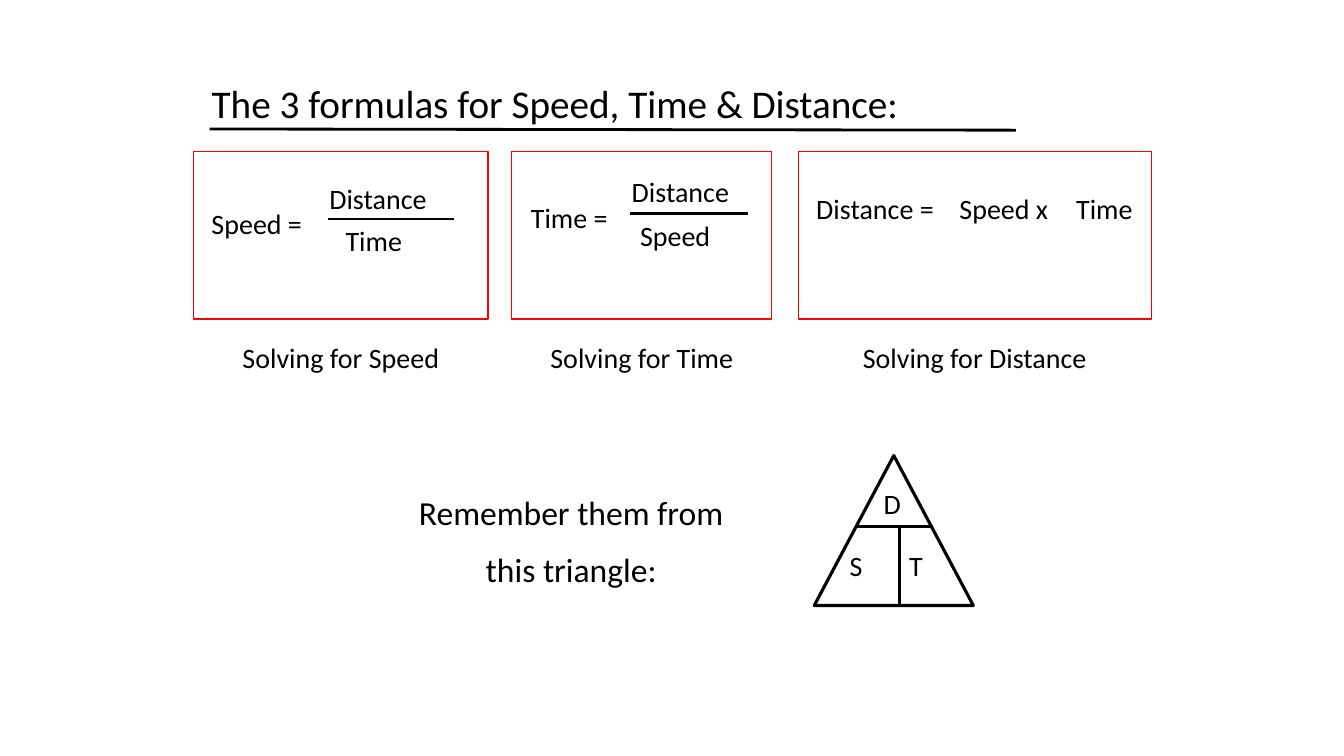
"""Build a slide with the speed, time and distance formulas."""
from lxml import etree
from pptx import Presentation
from pptx.dml.color import RGBColor
from pptx.enum.shapes import MSO_CONNECTOR, MSO_SHAPE
from pptx.enum.text import MSO_ANCHOR, MSO_AUTO_SIZE, PP_ALIGN
from pptx.oxml.ns import qn
from pptx.util import Cm, Pt

LEFT, CENTER = PP_ALIGN.LEFT, PP_ALIGN.CENTER
TOP = MSO_ANCHOR.TOP
NO_FIT = MSO_AUTO_SIZE.NONE
LINE = MSO_CONNECTOR.STRAIGHT
RECT, TRIANGLE = MSO_SHAPE.RECTANGLE, MSO_SHAPE.ISOSCELES_TRIANGLE
BLACK = RGBColor(0, 0, 0)
RED = RGBColor(255, 0, 0)

TITLE = "The 3 formulas for Speed, Time & Distance:"
NOTE = ["Remember them from", "this triangle:"]
FORMULAS = [
    {"caption": "Solving for Speed", "left": 4.88, "width": 7.42,
     "words": [("Speed =", 5.08, 5.08, 3.81), ("Distance", 8.05, 4.45, 3.61),
               ("Time", 8.46, 5.51, 4.01)],
     "bar": (8.26, 5.51, 11.43, 5.51)},
    {"caption": "Solving for Time", "left": 12.9, "width": 6.55,
     "words": [("Time =", 13.13, 4.93, 4.01), ("Distance", 15.67, 4.27, 4.45),
               ("Speed", 15.88, 5.38, 3.18)],
     "bar": (15.88, 5.38, 18.85, 5.38)},
    {"caption": "Solving for Distance", "left": 20.12, "width": 8.89,
     "words": [("Distance =", 20.32, 4.7, 4.45), ("Speed x", 23.93, 4.7, 4.01),
               ("Time", 26.87, 4.7, 2.74)],
     "bar": None},
]
LETTERS = [("D", 22.02, 12.14, 1.91), ("S", 21.16, 13.69, 1.47),
           ("T", 22.66, 13.69, 2.11)]
SPLITS = [(21.59, 13.26, 23.5, 13.26), (22.66, 13.26, 22.66, 15.27)]
BOX_TOP, BOX_HIGH, CAP_TOP, ROW = 3.81, 4.23, 8.46, 1.12


def write(frame, lines, size=20, align=LEFT):
    """Fill a text frame with one paragraph per line."""
    frame.word_wrap = True
    frame.auto_size = NO_FIT
    frame.vertical_anchor = TOP
    for i, line in enumerate(lines):
        para = frame.add_paragraph() if i else frame.paragraphs[0]
        para.text = line
        para.alignment = align
        para.line_spacing = 1.0
        para.space_before = Pt(size / 2 if i else 0)
        para.font.size = Pt(size)
        para.font.name = "Calibri"
        para.font.color.rgb = BLACK


def label(shapes, lines, left, top, width, high=ROW, **style):
    """Add a text box."""
    box = shapes.add_textbox(Cm(left), Cm(top), Cm(width), Cm(high))
    write(box.text_frame, lines, **style)


def rule(shapes, ends, weight):
    """Add a plain black line."""
    line = shapes.add_connector(LINE, *[Cm(end) for end in ends])
    line.line.color.rgb = BLACK
    line.line.width = Pt(weight)
    etree.SubElement(line._element.spPr, qn("a:effectLst"))


def outline(shapes, kind, area, color, weight):
    """Add an unfilled shape."""
    shape = shapes.add_shape(kind, *[Cm(side) for side in area])
    shape.shadow.inherit = False
    shape.fill.background()
    shape.line.color.rgb = color
    shape.line.width = Pt(weight)


def main():
    """Compose and save the slide."""
    deck = Presentation()
    deck.slide_width, deck.slide_height = Cm(33.87), Cm(19.05)
    slide = deck.slides.add_slide(deck.slide_layouts[5])
    shapes = slide.shapes

    title = shapes.title
    title.left, title.top = Cm(5.08), Cm(1.88)
    title.width, title.height = Cm(22.66), Cm(1.45)
    write(title.text_frame, [TITLE], size=28)
    rule(shapes, (5.28, 3.25, 25.6, 3.28), 2)

    for item in FORMULAS:
        left, width = item["left"], item["width"]
        group = shapes.add_group_shape().shapes
        for word, x, y, wide in item["words"]:
            label(group, [word], x, y, wide)
        if item["bar"]:
            rule(group, item["bar"], 1.5)
        outline(group, RECT, (left, BOX_TOP, width, BOX_HIGH), RED, 0.75)
        label(shapes, [item["caption"]], left, CAP_TOP, width, align=CENTER)

    label(shapes, NOTE, 9.53, 12.27, 9.73, high=2.82, size=24, align=CENTER)
    group = shapes.add_group_shape().shapes
    outline(group, TRIANGLE, (20.52, 11.48, 4.01, 3.78), BLACK, 2.25)
    for ends in SPLITS:
        rule(group, ends, 2.25)
    for letter, x, y, wide in LETTERS:
        label(group, [letter], x, y, wide)

    deck.save("out.pptx")


if __name__ == "__main__":
    main()
